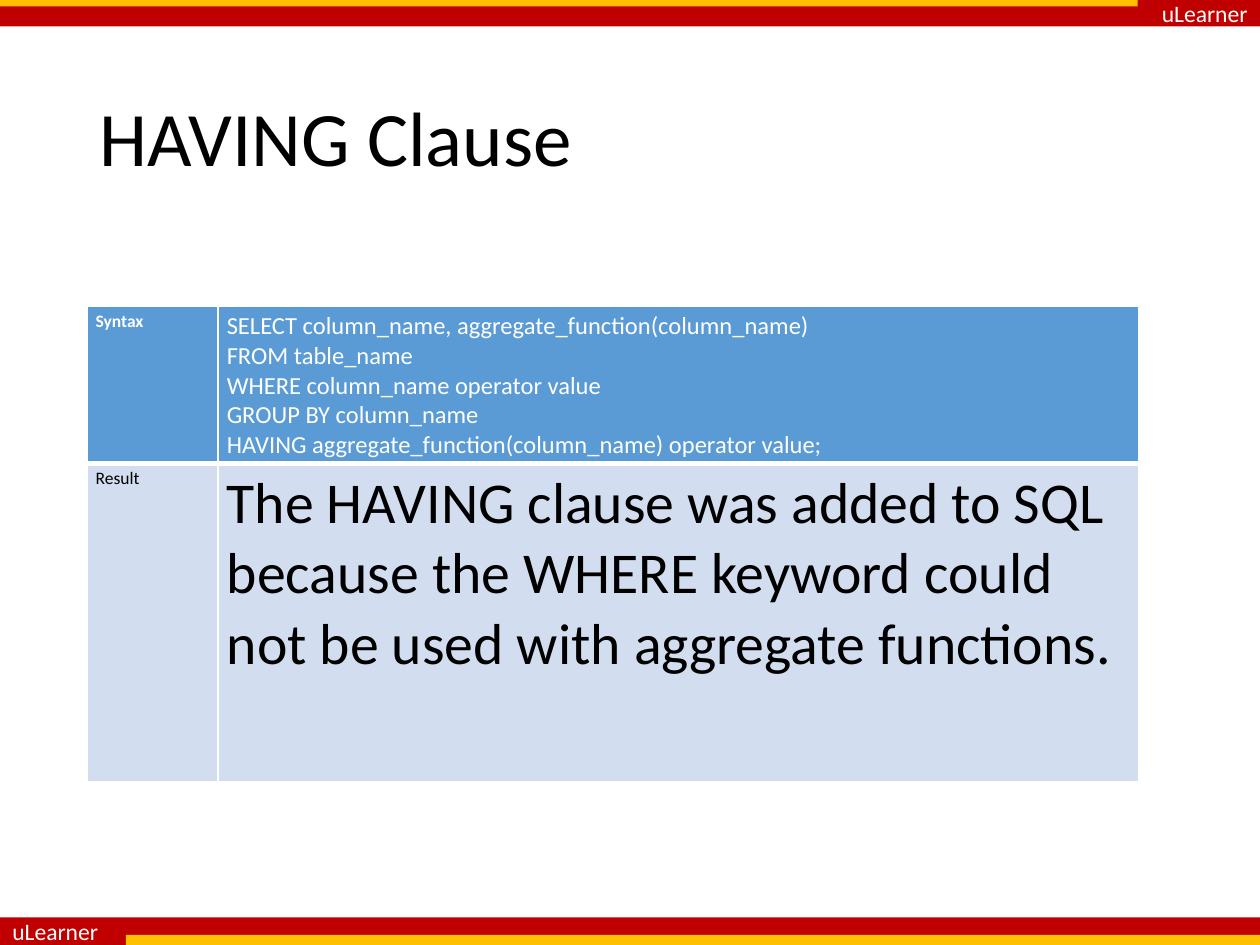
"""Build the HAVING Clause slide with a syntax table between two branded bands."""
from lxml import etree
from pptx import Presentation
from pptx.dml.color import RGBColor
from pptx.enum.shapes import MSO_SHAPE
from pptx.enum.text import MSO_ANCHOR, PP_ALIGN
from pptx.oxml.ns import qn
from pptx.util import Inches, Pt

RECTANGLE = MSO_SHAPE.RECTANGLE
MIDDLE = MSO_ANCHOR.MIDDLE
LEFT, RIGHT = PP_ALIGN.LEFT, PP_ALIGN.RIGHT

FONT = "Calibri"
COLORS = {
    "red": "C00000", "gold": "FFC000", "white": "FFFFFF",
    "black": "000000", "blue": "5B9BD5", "pale": "D2DEEF",
}
WIDTH, HEIGHT = 10, 7.5
MARGIN = 0.69
BRAND = "uLearner"
TITLE = "HAVING Clause"
BANDS = [
    ((0, 0, WIDTH, 0.21), "red", BRAND, RIGHT),
    ((0, HEIGHT - 0.22, WIDTH, 0.22), "red", BRAND, LEFT),
    ((0, 0, 9.03, 0.05), "gold", "", LEFT),
    ((1, HEIGHT - 0.08, WIDTH - 1, 0.08), "gold", "", LEFT),
]
SYNTAX = [
    "SELECT column_name, aggregate_function(column_name)",
    "FROM table_name",
    "WHERE column_name operator value",
    "GROUP BY column_name",
    "HAVING aggregate_function(column_name) operator value;",
]
RESULT = ("The HAVING clause was added to SQL because the WHERE keyword "
          "could not be used with aggregate functions.")
COLUMNS = (1.04, 7.31)
ROWS = [
    {"height": 1.2, "fill": "blue", "color": "white", "bottom": 3,
     "cells": [("Syntax", 10, True), ("\v".join(SYNTAX), 14, False)]},
    {"height": 2.53, "fill": "pale", "color": "black", "bottom": 1,
     "cells": [("Result", 10, False), (RESULT, 33, False)]},
]


def rgb(name):
    """Return the named colour."""
    return RGBColor.from_string(COLORS[name])


def write(frame, text, size, color, bold=False, align=LEFT):
    """Put text in a frame and format its runs."""
    frame.text = text
    frame.word_wrap = True
    for para in frame.paragraphs:
        para.alignment = align
        for span in para.runs:
            span.font.name = FONT
            span.font.size = Pt(size)
            span.font.bold = bold
            span.font.color.rgb = rgb(color)


def add_band(page, place, fill, text, align):
    """Add a flat coloured band, with a label if there is one."""
    band = page.shapes.add_shape(RECTANGLE, *map(Inches, place))
    band.shadow.inherit = False
    band.fill.solid()
    band.fill.fore_color.rgb = rgb(fill)
    band.line.fill.background()
    if text:
        write(band.text_frame, text, 13.5, "white", align=align)
        band.text_frame.vertical_anchor = MIDDLE


def set_borders(cell, widths):
    """Draw white cell borders with a width in points for each side."""
    properties = cell._tc.get_or_add_tcPr()
    for index, (side, width) in enumerate(widths.items()):
        line = etree.Element(qn(f"a:ln{side}"), w=str(Pt(width)))
        fill = etree.SubElement(line, qn("a:solidFill"))
        etree.SubElement(fill, qn("a:srgbClr"), val=COLORS["white"])
        properties.insert(index, line)


def add_table(page):
    """Add the syntax and result table."""
    height = sum(row["height"] for row in ROWS)
    place = (MARGIN, 2.43, sum(COLUMNS), height)
    table = page.shapes.add_table(
        len(ROWS), len(COLUMNS), *map(Inches, place)).table
    for column, width in zip(table.columns, COLUMNS):
        column.width = Inches(width)
    top = 1
    for r, row in enumerate(ROWS):
        table.rows[r].height = Inches(row["height"])
        for c, (text, size, bold) in enumerate(row["cells"]):
            cell = table.cell(r, c)
            cell.margin_left = cell.margin_right = Inches(0.07)
            cell.margin_top = cell.margin_bottom = Inches(0.04)
            cell.fill.solid()
            cell.fill.fore_color.rgb = rgb(row["fill"])
            write(cell.text_frame, text, size, row["color"], bold)
            set_borders(cell, {"L": 1, "R": 1, "T": top, "B": row["bottom"]})
        top = row["bottom"]


deck = Presentation()
deck.slide_width, deck.slide_height = Inches(WIDTH), Inches(HEIGHT)
page = deck.slides.add_slide(deck.slide_layouts[6])
for band in BANDS:
    add_band(page, *band)

title_place = (MARGIN, 0.4, WIDTH - 2 * MARGIN, 1.45)
title = page.shapes.add_textbox(*map(Inches, title_place)).text_frame
write(title, TITLE, 44, "black")
title.vertical_anchor = MIDDLE
title.paragraphs[0].line_spacing = 0.9

add_table(page)
deck.save("out.pptx")
